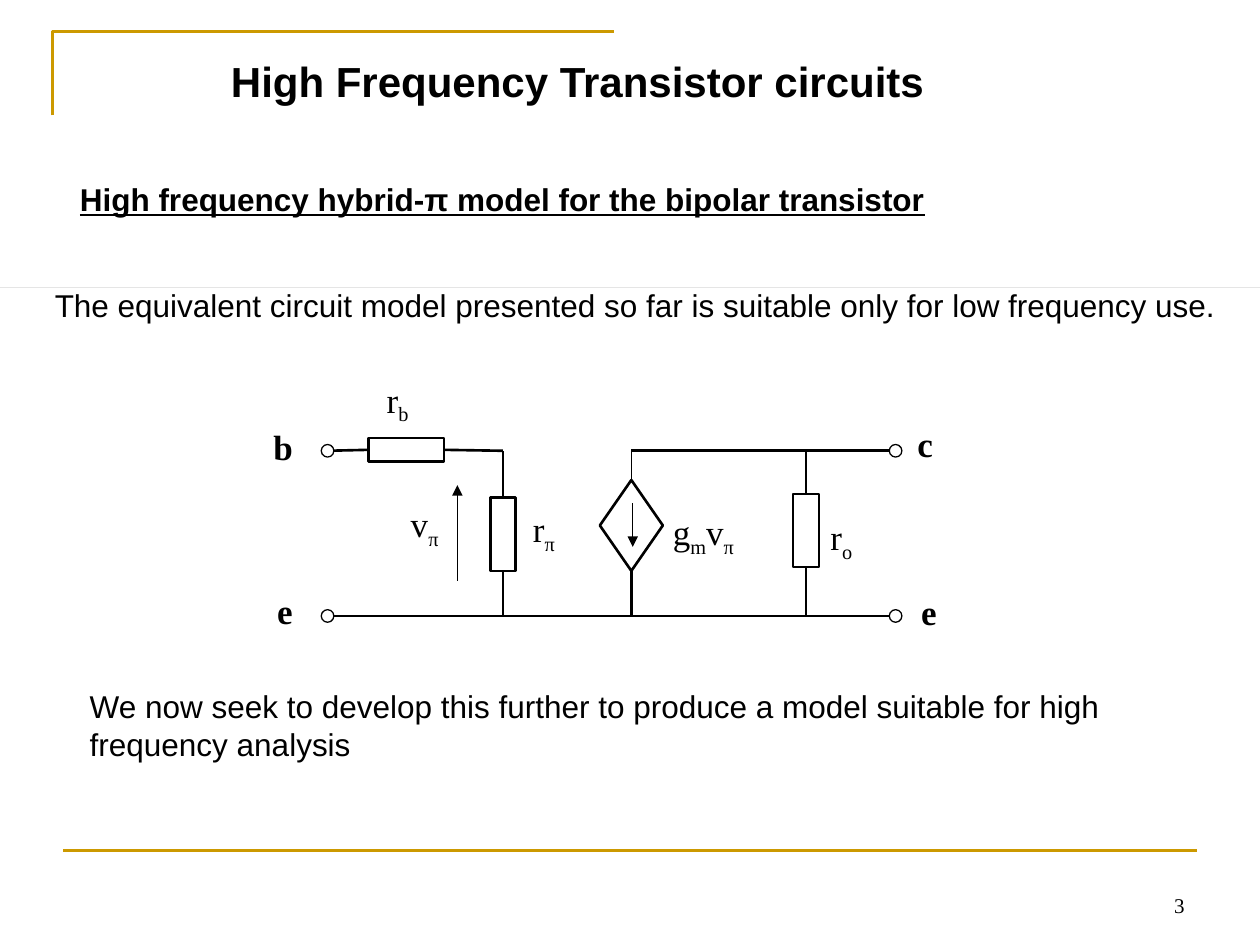
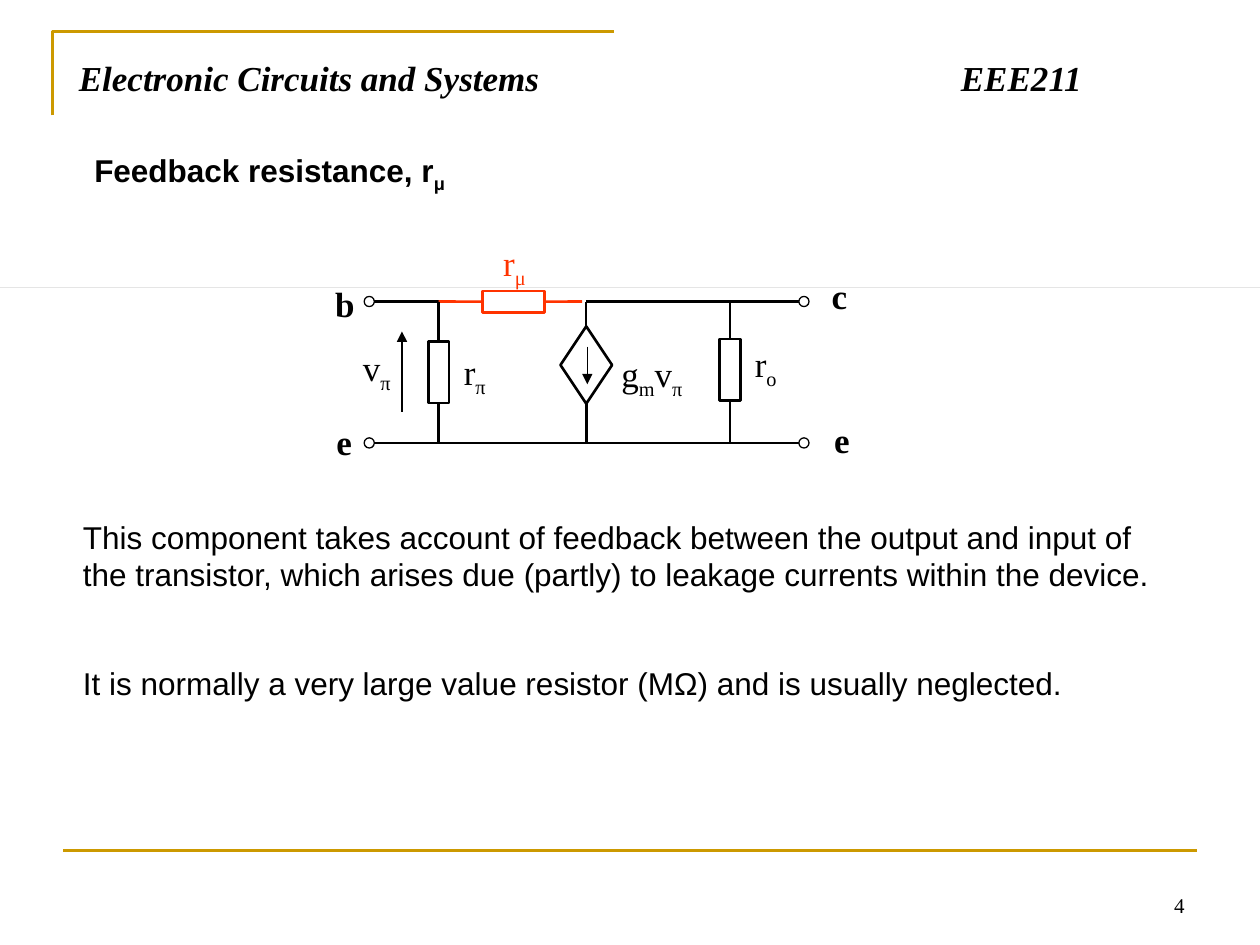
"""Build two slides on the hybrid-π model of the bipolar transistor."""
from lxml.etree import SubElement
from pptx import Presentation
from pptx.dml.color import RGBColor
from pptx.enum.shapes import MSO_CONNECTOR, MSO_SHAPE
from pptx.enum.text import MSO_ANCHOR, PP_ALIGN
from pptx.oxml.ns import qn
from pptx.util import Pt

GOLD = RGBColor(0xCC, 0x99, 0x00)
BLACK = RGBColor(0x00, 0x00, 0x00)
WHITE = RGBColor(0xFF, 0xFF, 0xFF)
RED = RGBColor(0xFF, 0x33, 0x00)
HAIRLINE = RGBColor(0xE5, 0xE5, 0xE5)
SANS = "Arial"
SERIF = "Times New Roman"


def write(slide, box, paragraphs, size=18, font=SANS, color=BLACK, bold=False,
          align=PP_ALIGN.LEFT, inset=True, gap=0):
    """Add a text box; every second part between bars is a subscript."""
    frame = slide.shapes.add_textbox(*map(Pt, box)).text_frame
    frame.word_wrap = True
    if not inset:
        frame.margin_left = frame.margin_right = 0
        frame.margin_top = frame.margin_bottom = 0
    for index, text in enumerate(paragraphs):
        paragraph = frame.add_paragraph() if index else frame.paragraphs[0]
        paragraph.alignment = align
        paragraph.space_before = Pt(gap if index else 0)
        paragraph.font.size = Pt(size)
        paragraph.font.name = font
        paragraph.font.bold = bold
        paragraph.font.color.rgb = color
        for part, piece in enumerate(text.split("|")):
            run = paragraph.add_run()
            run.text = piece
            if part % 2:
                run._r.get_or_add_rPr().set("baseline", "-25000")
    return frame


def wire(slide, x1, y1, x2, y2, color=BLACK, width=1.5, arrow=False):
    """Add a straight line, with an arrowhead at its end if asked."""
    line = slide.shapes.add_connector(
        MSO_CONNECTOR.STRAIGHT, Pt(x1), Pt(y1), Pt(x2), Pt(y2))
    line.line.color.rgb = color
    line.line.width = Pt(width)
    if arrow:
        SubElement(line.line._get_or_add_ln(), qn("a:tailEnd"), type="triangle")
    SubElement(line._element.spPr, qn("a:effectLst"))
    return line


prs = Presentation()
prs.slide_width, prs.slide_height = Pt(720), Pt(540)
model_slide, feedback_slide = slides = [
    prs.slides.add_slide(prs.slide_layouts[6]) for _ in range(2)]

for page, slide in enumerate(slides, 3):
    corner = slide.shapes.build_freeform(Pt(30), Pt(66))
    corner.add_line_segments([(Pt(30), Pt(18)), (Pt(351), Pt(18))], close=False)
    bracket = corner.convert_to_shape()
    bracket.shadow.inherit = False
    bracket.fill.background()
    bracket.line.color.rgb = GOLD
    bracket.line.width = Pt(1.5)
    wire(slide, 36, 486, 684, 486, GOLD)
    wire(slide, 0, 164.4, 720, 164.4, HAIRLINE, 0.5)
    number = write(slide, (516, 492, 168, 36), [str(page)], 12, SERIF,
                   align=PP_ALIGN.RIGHT)
    number.vertical_anchor = MSO_ANCHOR.BOTTOM

write(model_slide, (97, 28, 466, 37), ["High Frequency Transistor circuits"], 24,
      bold=True, align=PP_ALIGN.CENTER)
heading = write(model_slide, (38.6, 99.4, 593, 29),
                ["High frequency hybrid-π model for the bipolar transistor"], bold=True)
heading.paragraphs[0].font.underline = True
write(model_slide, (24.2, 160, 686, 29),
      ["The equivalent circuit model presented so far is suitable only for "
       "low frequency use."])
write(model_slide, (44.2, 389, 613, 51),
      ["We now seek to develop this further to produce a model suitable for "
       "high frequency analysis"])

course = write(feedback_slide, (38, 29, 642, 44),
               ["Electronic Circuits and Systems\tEEE211"], 20, SERIF, bold=True)
course_line = course.paragraphs[0]
course_line.font.italic = True
tab_stops = course_line._p.get_or_add_pPr()
tab_list = tab_stops.makeelement(qn("a:tabLst"))
tab_stops.insert_element_before(tab_list, "a:defRPr", "a:extLst")
SubElement(tab_list, qn("a:tab"), pos=str(Pt(504)), algn="l")
write(feedback_slide, (46.8, 83, 244, 29), ["Feedback resistance, r|μ"], bold=True)
write(feedback_slide, (40.3, 292.3, 642, 117),
      ["This component takes account of feedback between the output and input of "
       "the transistor, which arises due (partly) to leakage currents within the device.",
       "It is normally a very large value resistor (MΩ) and is usually neglected."],
      gap=40.5)

circuits = [
    dict(slide=model_slide, top=257.6, bottom=352, left=187.2, right=511.8, radius=3.6,
         top_rails=[(360.8, 511.8)],
         series=dict(box=(210.6, 250.2, 43.2, 13.7), start=187.2, end=287.4, color=BLACK),
         branches=[(MSO_SHAPE.RECTANGLE, 287.4, 284.4, 14.4, 41.8, 1.5),
                   (MSO_SHAPE.DIAMOND, 360.8, 274.3, 36, 51.9, 1),
                   (MSO_SHAPE.RECTANGLE, 460.6, 282.2, 15, 41.8, 1.5)],
         voltage=(261.4, 331.9, 277.2), current=(361.6, 287.5, 312.5),
         labels=[("r|b", 221, 216), ("v|π", 234.7, 287.3), ("r|π", 304.5, 290.2),
                 ("g|m|v|π", 384.5, 291.6), ("r|o", 474.5, 294.5)],
         terminals=[("b", 156.2, 243.4), ("e", 158.4, 337), ("c", 524.2, 241.2),
                    ("e", 526.3, 337.7)]),
    dict(slide=feedback_slide, top=172.3, bottom=253.1, left=211, right=459.4, radius=2.9,
         top_rails=[(211, 250.7), (335, 459.4)],
         series=dict(box=(275.8, 166.3, 35.3, 12.2), start=250.7, end=332.6, color=RED),
         branches=[(MSO_SHAPE.RECTANGLE, 250.7, 195.1, 11.8, 35.3, 1.5),
                   (MSO_SHAPE.DIAMOND, 335, 186.5, 29.5, 44.2, 1),
                   (MSO_SHAPE.RECTANGLE, 417.2, 193.7, 12.2, 35.3, 1.5)],
         voltage=(229.7, 235.4, 189.4), current=(335.6, 198, 219.6),
         labels=[("r|μ", 287.5, 138.2), ("v|π", 207.4, 198), ("r|π", 265, 200.2),
                 ("g|m|v|π", 355, 201.6), ("r|o", 431.3, 195.8)],
         terminals=[("b", 191.5, 161.3), ("e", 192.2, 240.5), ("c", 475.2, 157),
                    ("e", 476.6, 239)]),
]

for circuit in circuits:
    slide, top, bottom = circuit["slide"], circuit["top"], circuit["bottom"]
    left, right, radius = circuit["left"], circuit["right"], circuit["radius"]
    series = circuit["series"]

    wire(slide, left, bottom, right, bottom)
    for start, end in circuit["top_rails"]:
        wire(slide, start, top, end, top)

    components = [(MSO_SHAPE.RECTANGLE, series["box"], series["color"],
                   [(series["start"], top, 1, 1.5), (series["end"], top, 3, 1.5)])]
    for kind, x, y, width, height, upper_width in circuit["branches"]:
        components.append((kind, (x - width / 2, y, width, height), BLACK,
                           [(x, top, 0, upper_width), (x, bottom, 2, 1.5)]))
    for kind, box, color, leads in components:
        component = slide.shapes.add_shape(kind, *map(Pt, box))
        component.shadow.inherit = False
        component.fill.solid()
        component.fill.fore_color.rgb = WHITE
        component.line.color.rgb = color
        component.line.width = Pt(1.5)
        for x, y, side, width in leads:
            wire(slide, x, y, x, y, color, width).end_connect(component, side)

    for x, tail, head in (circuit["voltage"], circuit["current"]):
        wire(slide, x, tail, x, head, width=0.75, arrow=True)

    for x in (left, right):
        for y in (top, bottom):
            terminal = slide.shapes.add_shape(
                MSO_SHAPE.OVAL, Pt(x - radius), Pt(y - radius), Pt(2 * radius), Pt(2 * radius))
            terminal.shadow.inherit = False
            terminal.fill.solid()
            terminal.fill.fore_color.rgb = WHITE
            terminal.line.color.rgb = BLACK
            terminal.line.width = Pt(0.75)

    for bold, group in ((False, circuit["labels"]), (True, circuit["terminals"])):
        for text, x, y in group:
            color = RED if text == "r|μ" else BLACK
            write(slide, (x, y, 48, 26), [text], 20, SERIF, color, bold, inset=False)

prs.save("out.pptx")
